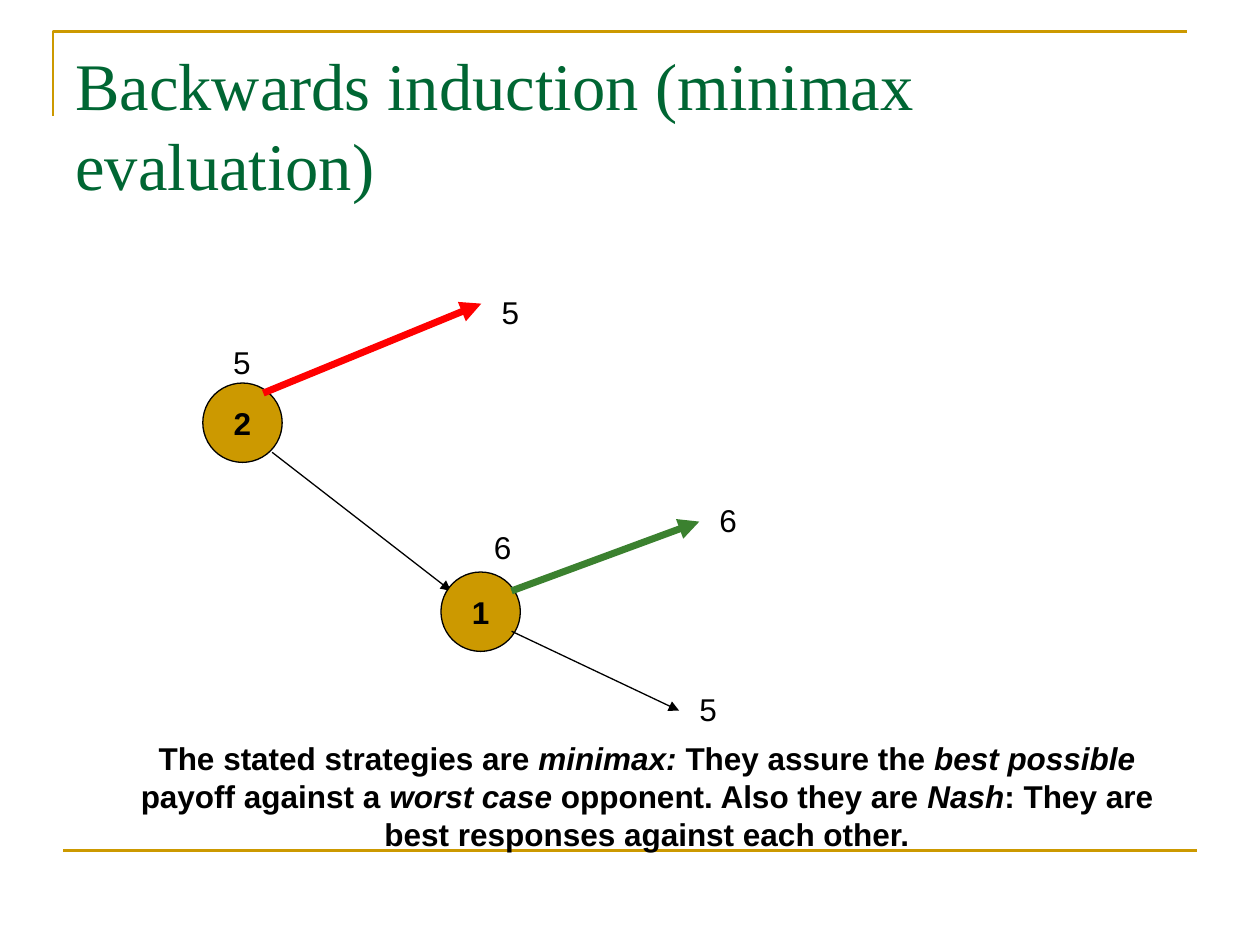
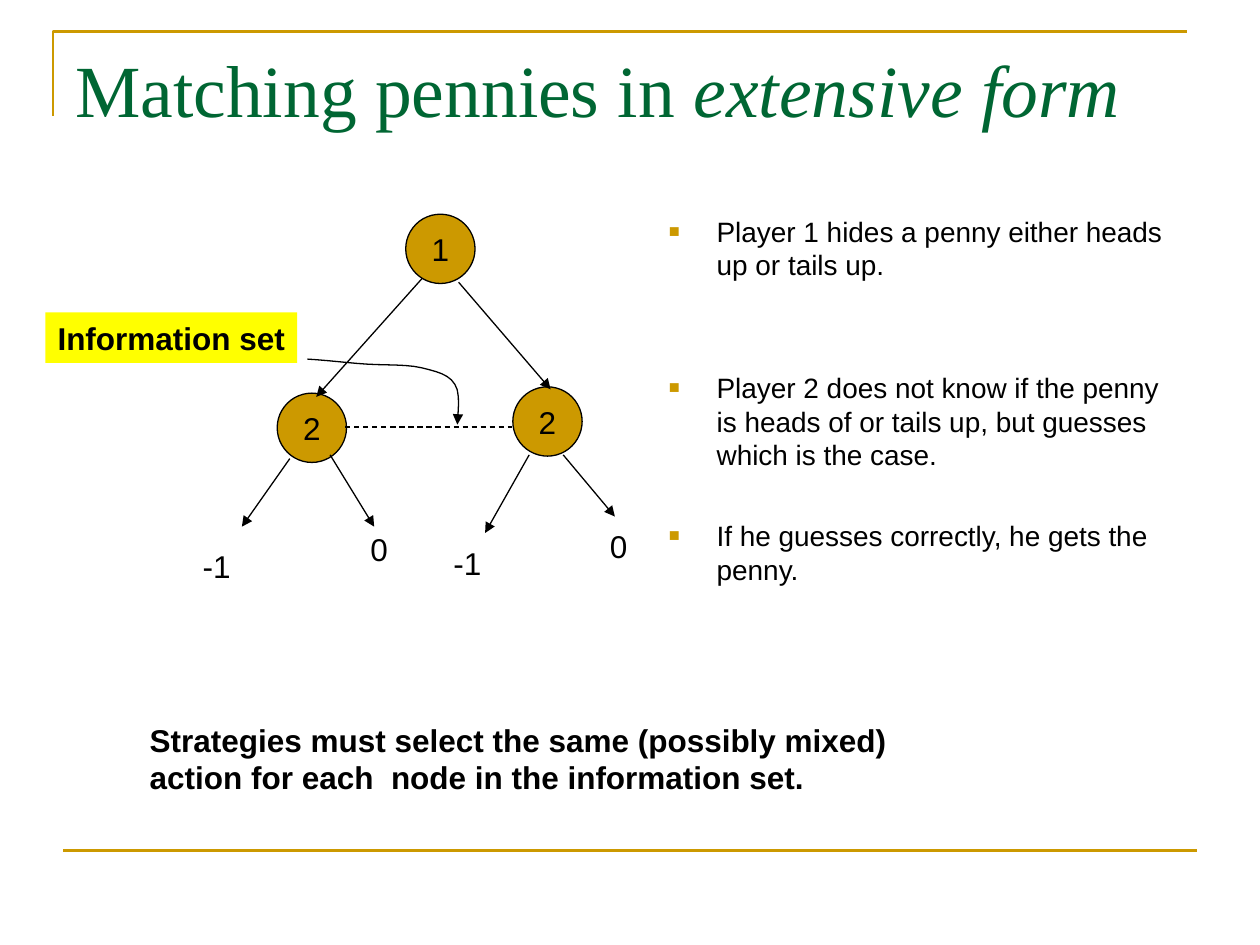
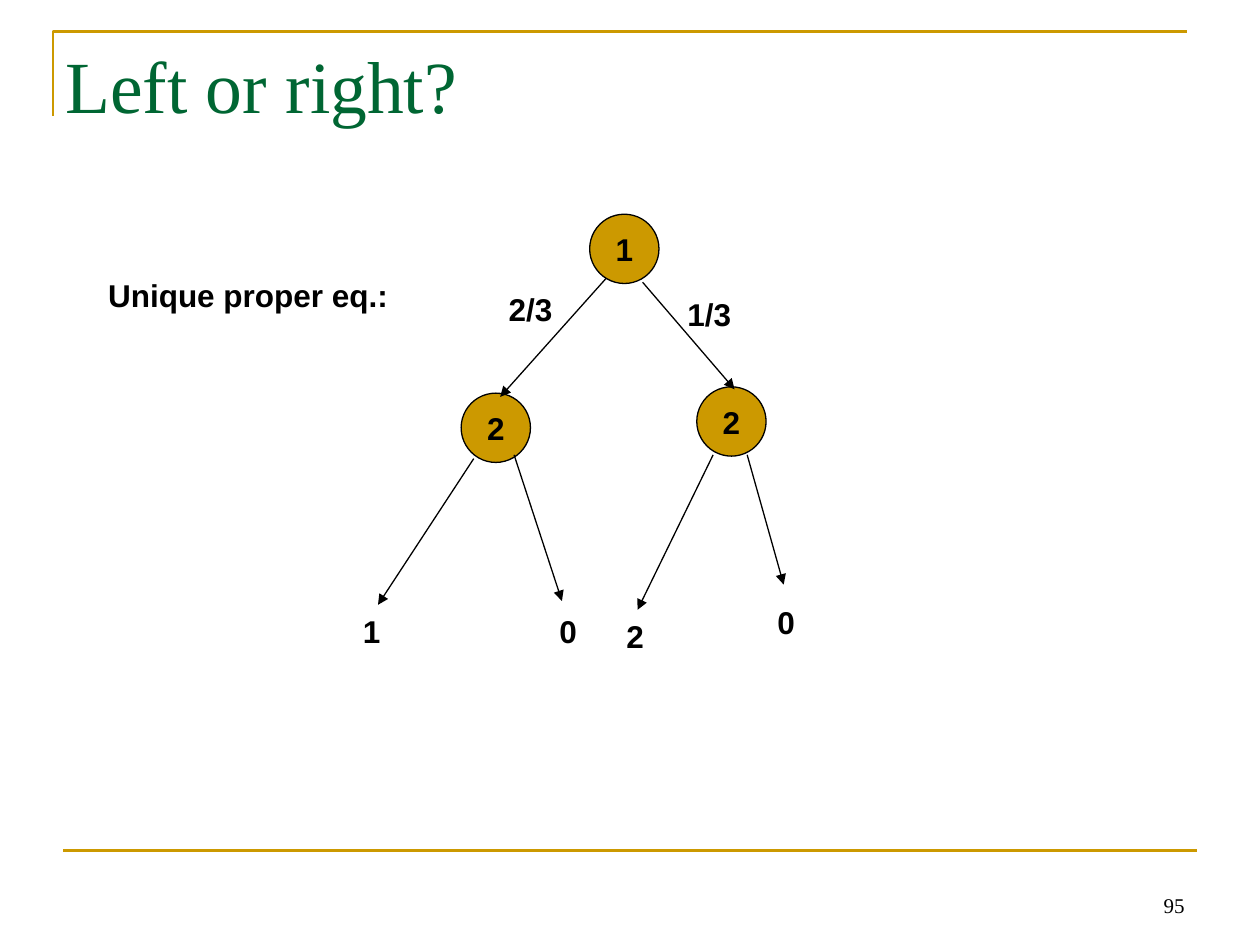
"""Build three slides on game trees: minimax, information sets and a proper equilibrium."""
from lxml import etree
from pptx import Presentation
from pptx.dml.color import RGBColor
from pptx.enum import dml, shapes, text
from pptx.oxml import ns
from pptx.util import Inches, Pt

GOLD = RGBColor(0xCC, 0x99, 0x00)
GREEN = RGBColor(0x00, 0x66, 0x33)
LEAF = RGBColor(0x3B, 0x81, 0x2F)
RED = RGBColor(0xFF, 0x00, 0x00)
YELLOW = RGBColor(0xFF, 0xFF, 0x00)
BLACK = RGBColor(0x00, 0x00, 0x00)

LEFT, CENTER, RIGHT = text.PP_ALIGN.LEFT, text.PP_ALIGN.CENTER, text.PP_ALIGN.RIGHT
TOP, MIDDLE, BOTTOM = text.MSO_ANCHOR.TOP, text.MSO_ANCHOR.MIDDLE, text.MSO_ANCHOR.BOTTOM
BODY = {"name": "Arial", "size": Pt(18), "bold": False}
STRONG = {**BODY, "bold": True}
BULLET = {**BODY, "size": Pt(16)}
TITLE = {"name": "Times New Roman", "size": Pt(42)}
NUMBER = {"name": "Times New Roman", "size": Pt(12)}


def apply(target, values):
    """Set each attribute named in values on target."""
    for name, value in values.items():
        setattr(target, name, value)


def child(parent, tag, **attributes):
    """Append a DrawingML element to parent."""
    return etree.SubElement(parent, ns.qn(tag), attributes)


def write(paragraph, pieces, style, color=BLACK):
    """Write pieces as runs, with every second one in italics."""
    for index, piece in enumerate(pieces):
        run = paragraph.add_run()
        run.text = piece
        apply(run.font, {**style, "italic": index % 2 == 1})
        run.font.color.rgb = color


def fill_frame(frame, pieces, style, align=LEFT, anchor=TOP, wrap=True, color=BLACK):
    """Lay out one paragraph in a text frame."""
    apply(frame, {"word_wrap": wrap, "vertical_anchor": anchor})
    frame.paragraphs[0].alignment = align
    write(frame.paragraphs[0], pieces, style, color)


def add_text(slide, box, pieces, style, **layout):
    """Add a text box at box and return its frame."""
    frame = slide.shapes.add_textbox(*map(Inches, box)).text_frame
    fill_frame(frame, pieces, style, **layout)
    return frame


def add_label(slide, caption, center, top, style=BODY):
    """Centre a short caption on a horizontal position."""
    width = 0.6
    add_text(slide, (center - width / 2, top, width, 0.4), [caption], style,
             align=CENTER, wrap=False)


def add_filled(slide, kind, box, color, caption, style, anchor=TOP):
    """Add a filled shape with a centred caption."""
    shape = slide.shapes.add_shape(kind, *map(Inches, box))
    shape.shadow.inherit = False
    shape.fill.solid()
    shape.fill.fore_color.rgb = color
    shape.line.fill.background()
    fill_frame(shape.text_frame, [caption], style, CENTER, anchor, wrap=False)
    return shape


def add_node(slide, player, left, top, size, style):
    """Add the round decision node of a player."""
    node = add_filled(slide, shapes.MSO_SHAPE.OVAL, (left, top, size, size),
                      GOLD, player, style, MIDDLE)
    ink(node.line, BLACK, 0.75)


def ink(line, color, width, arrow=False):
    """Colour a line and give it an arrowhead on request."""
    line.color.rgb = color
    line.width = Pt(width)
    if arrow:
        child(line._get_or_add_ln(), "a:tailEnd", type="triangle")


def add_line(slide, start, end, color=BLACK, width=0.75, arrow=True):
    """Join two points with a straight line."""
    link = slide.shapes.add_connector(
        shapes.MSO_CONNECTOR.STRAIGHT, *map(Inches, (*start, *end)))
    ink(link.line, color, width, arrow)
    child(link._element.spPr, "a:effectLst")
    return link


def add_path(slide, points, color, width, arrow=False):
    """Draw an open, unfilled outline through points."""
    start, *rest = [(Inches(x), Inches(y)) for x, y in points]
    builder = slide.shapes.build_freeform(*start)
    builder.add_line_segments(rest, close=False)
    path = builder.convert_to_shape()
    path.shadow.inherit = False
    path.fill.background()
    ink(path.line, color, width, arrow)


def bezier(start, first, second, end, steps=6):
    """Return the points of a cubic curve after its start."""
    return [tuple((1 - t) ** 3 * a + 3 * t * (1 - t) ** 2 * b
                  + 3 * t * t * (1 - t) * c + t ** 3 * d
                  for a, b, c, d in zip(start, first, second, end))
            for t in (step / steps for step in range(1, steps + 1))]


def new_slide(deck, title, left=0.5, top=0.3, size=42):
    """Add a slide with the gold rules and a title."""
    slide = deck.slides.add_slide(deck.slide_layouts[6])
    add_path(slide, [(0.42, 0.92), (0.42, 0.25), (9.42, 0.25)], GOLD, 1.5)
    add_line(slide, (0.5, 6.75), (9.5, 6.75), GOLD, 1.5, arrow=False)
    add_text(slide, (left, top, 9, 1.25), title, {**TITLE, "size": Pt(size)}, color=GREEN)
    return slide


def add_tree(slide, left, top, leaves, style):
    """Draw a two-level tree; each leaf is an arrow end, a payoff and its place."""
    def at(x, y):
        return left + x, top + y

    for player, x, y in (("1", 1.02, 0), ("2", 0, 1.42), ("2", 1.87, 1.37)):
        add_node(slide, player, *at(x, y), 0.55, style)
    add_line(slide, at(1.15, 0.51), at(0.31, 1.45))
    add_line(slide, at(1.44, 0.54), at(2.17, 1.39))
    stems = ((0.1, 1.94), (0.42, 1.91), (2, 1.91), (2.27, 1.91))
    for stem, (tip, payoff, place) in zip(stems, leaves):
        add_line(slide, at(*stem), at(*tip))
        add_label(slide, payoff, *at(*place), style)


def add_bullets(slide, box, items):
    """List items, each a text with its space before in points."""
    frame = add_text(slide, box, [], BULLET)
    for index, (item, gap) in enumerate(items):
        paragraph = frame.add_paragraph() if index else frame.paragraphs[0]
        properties = paragraph._p.get_or_add_pPr()
        properties.set("marL", str(Inches(0.38)))
        properties.set("indent", str(-Inches(0.38)))
        if gap:
            paragraph.space_before = Pt(gap)
        child(child(properties, "a:buClr"), "a:srgbClr", val=str(GOLD))
        child(properties, "a:buSzPct", val="65000")
        child(properties, "a:buFont", typeface="Arial")
        child(properties, "a:buChar", char="■")
        write(paragraph, [item], BULLET)


def minimax_slide(deck):
    """Build the backwards induction slide."""
    slide = new_slide(deck, ["Backwards induction (minimax evaluation)"], size=38)
    add_node(slide, "2", 1.61, 3.04, 0.63, STRONG)
    add_line(slide, (2.16, 3.59), (3.58, 4.69))
    add_line(slide, (2.09, 3.12), (3.82, 2.41), RED, 4)
    add_node(slide, "1", 3.5, 4.54, 0.63, STRONG)
    add_line(slide, (4.06, 4.69), (5.55, 4.14), LEAF, 4)
    add_line(slide, (4.06, 5.01), (5.39, 5.64))
    for payoff, center, top in (("5", 4.05, 2.28), ("5", 5.62, 5.43), ("6", 5.78, 3.93),
                                ("6", 3.99, 4.14), ("5", 1.92, 2.67)):
        add_label(slide, payoff, center, top)
    add_text(slide, (0.92, 5.82, 8.43, 1), [
        "The stated strategies are ", "minimax: ", "They assure the ", "best possible",
        " payoff against a ", "worst case", " opponent. Also they are ", "Nash",
        ": They are best responses against each other."], STRONG, align=CENTER)


def pennies_slide(deck):
    """Build the matching pennies slide with its information set."""
    slide = new_slide(deck, ["Matching pennies in ", "extensive form"])
    add_filled(slide, shapes.MSO_SHAPE.RECTANGLE, (0.36, 2.48, 2, 0.4), YELLOW,
               "Information set", STRONG)
    add_tree(slide, 2.2, 1.7, (
        ((-0.28, 2.48), "-1", (-0.48, 2.59)), ((0.77, 2.48), "0", (0.81, 2.46)),
        ((1.65, 2.53), "-1", (1.51, 2.57)), ((2.68, 2.4), "0", (2.71, 2.43))), BODY)
    information_set = add_line(slide, (2.74, 3.39), (4.06, 3.39), arrow=False)
    information_set.line.dash_style = dml.MSO_LINE.DASH
    pointer = [(2.44, 2.85)]
    for bend in (((2.6, 2.86), (2.76, 2.88), (2.91, 2.89)),
                 ((3.06, 2.9), (3.23, 2.89), (3.35, 2.92)),
                 ((3.47, 2.95), (3.56, 2.97), (3.61, 3.05)),
                 ((3.66, 3.12), (3.63, 3.3), (3.63, 3.37))):
        pointer += bezier(pointer[-1], *bend)
    add_path(slide, pointer, BLACK, 0.75, arrow=True)
    add_bullets(slide, (5.21, 1.65, 4.3, 5), (
        ("Player 1 hides a penny either heads up or tails up.", 0),
        ("Player 2 does not know if the penny is heads of or tails up, "
         "but guesses which is the case.", 51),
        ("If he guesses correctly, he gets the penny.", 27)))
    add_text(slide, (1.09, 5.67, 6.76, 0.7), [
        "Strategies must select the same (possibly mixed) action for each  node "
        "in the information set."], STRONG)


def equilibrium_slide(deck):
    """Build the left or right slide with its proper equilibrium."""
    slide = new_slide(deck, ["Left or right?"], left=0.42, top=0.27)
    add_text(slide, (7.17, 6.83, 2.33, 0.5), ["95"], NUMBER, align=RIGHT, anchor=BOTTOM)
    add_tree(slide, 3.66, 1.7, (
        ((-0.66, 3.1), "1", (-0.71, 3.11)), ((0.8, 3.07), "0", (0.85, 3.11)),
        ((1.4, 3.14), "2", (1.38, 3.15)), ((2.56, 2.94), "0", (2.58, 3.04))), STRONG)
    add_label(slide, "2/3", 4.21, 2.25, STRONG)
    add_label(slide, "1/3", 5.63, 2.29, STRONG)
    add_text(slide, (0.76, 2.14, 2.42, 0.4), ["Unique proper eq.:"], STRONG, wrap=False)


def main():
    """Build the deck and save it."""
    deck = Presentation()
    apply(deck, {"slide_width": Inches(10), "slide_height": Inches(7.5)})
    for build in (minimax_slide, pennies_slide, equilibrium_slide):
        build(deck)
    deck.save("out.pptx")


if __name__ == "__main__":
    main()
